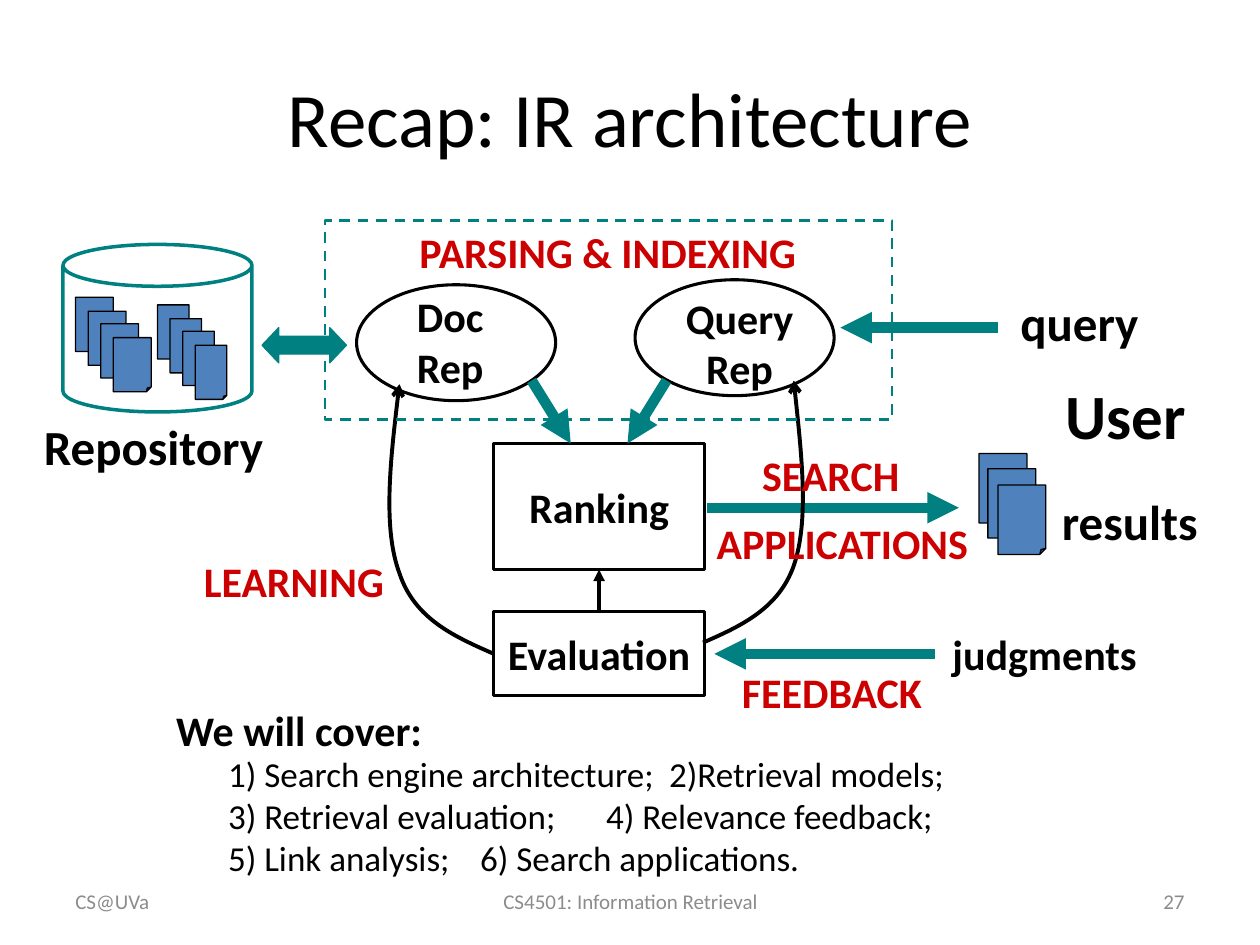
import lxml.etree
import pptx
import pptx.dml.color
import pptx.enum.dml
import pptx.enum.shapes
import pptx.enum.text
import pptx.oxml.ns
import pptx.util

PX = 9144  # 100 px to the inch
COLORS = {"black": "000000", "teal": "008080", "red": "CC0000",
          "blue": "4F81BD", "gray": "8C8C8C"}
SHAPE = pptx.enum.shapes.MSO_SHAPE
ALIGN = pptx.enum.text.PP_ALIGN
MIDDLE = pptx.enum.text.MSO_ANCHOR.MIDDLE
qn = pptx.oxml.ns.qn

deck = pptx.Presentation()
deck.slide_width, deck.slide_height = 1000 * PX, 750 * PX
page = deck.slides.add_slide(deck.slide_layouts[1])


def write(frame, text, size, color="black", bold=True, align=ALIGN.LEFT):
    frame.text = text
    for para in frame.paragraphs:
        para.alignment = align
        para.font.name = "Calibri"
        para.font.size = pptx.util.Pt(size)
        para.font.bold = bold
        para.font.color.rgb = pptx.dml.color.RGBColor.from_string(COLORS[color])


def draw(kind, box, line="black", width=1.75, fill=None, adjust=None):
    """Add a preset shape; adjust maps guide names to thousandths of a percent."""
    shape = page.shapes.add_shape(kind, *(n * PX for n in box))
    shape.shadow.inherit = False
    if fill:
        shape.fill.solid()
        shape.fill.fore_color.rgb = pptx.dml.color.RGBColor.from_string(COLORS[fill])
    else:
        shape.fill.background()
    shape.line.color.rgb = pptx.dml.color.RGBColor.from_string(COLORS[line])
    shape.line.width = pptx.util.Pt(width)
    if adjust:
        guides = next(shape.element.iter(qn("a:avLst")))
        guides[:] = []
        for name, value in adjust.items():
            lxml.etree.SubElement(guides, qn("a:gd"), name=name, fmla=f"val {value}")
    return shape


title = page.shapes.title
title.left, title.top, title.width, title.height = (n * PX for n in (50, 30, 900, 125))
write(title.text_frame, "Recap: IR architecture", 44, bold=False, align=ALIGN.CENTER)

# Repository, document stacks and the representations
draw(SHAPE.CAN, (50, 194, 150, 133), "teal", 2)
stacks = [(60, 236, 30, 43, 10, 10.7, 4), (125, 242, 25, 43, 10, 10.7, 4),
          (777, 360, 38, 55, 7.5, 12.5, 3)]
for left, top, width, height, step_x, step_y, count in stacks:
    for i in range(count):
        sheet = (round(left + i * step_x), round(top + i * step_y), width, height)
        draw(SHAPE.FOLDED_CORNER, sheet, width=0.75, fill="blue", adjust={"adj": 12500})
draw(SHAPE.LEFT_RIGHT_ARROW, (208, 260, 67, 28), "teal", 0.75, "teal",
     {"adj1": 50000, "adj2": 47400})
for ellipse in [(283, 226, 158, 92), (504, 222, 158, 92)]:
    draw(SHAPE.OVAL, ellipse)

# Ranking and evaluation
stages = {}
for name, box in [("Ranking", (392, 352, 167, 100)), ("Evaluation", (392, 485, 167, 67))]:
    stages[name] = draw(SHAPE.RECTANGLE, box)
    frame = stages[name].text_frame
    write(frame, name, 24, align=ALIGN.CENTER)
    frame.word_wrap = False
    frame.vertical_anchor = MIDDLE

# Straight arrows: from, to, colour, width
straight = [((561, 403), (761, 403), "teal", 6), ((792, 260), (667, 260), "teal", 6),
            ((529, 302), (498, 352), "teal", 6), ((422, 302), (453, 352), "teal", 6),
            ((742, 519), (567, 519), "teal", 6), ((475, 485), (475, 452), "black", 2.25)]
arrows = []
for start, end, color, width in straight:
    arrow = page.shapes.add_connector(pptx.enum.shapes.MSO_CONNECTOR.STRAIGHT,
                                      *(n * PX for n in start + end))
    arrow.line.color.rgb = pptx.dml.color.RGBColor.from_string(COLORS[color])
    arrow.line.width = pptx.util.Pt(width)
    lxml.etree.SubElement(arrow.element.spPr, qn("a:effectLst"))
    arrows.append((arrow, "triangle"))
arrow.begin_connect(stages["Evaluation"], 0)
arrow.end_connect(stages["Ranking"], 2)

# Learning curves: a start, then two cubic segments of three points each
curves = [[(392, 519), (360, 505), (329, 491), (317, 455), (304, 420), (310, 362), (317, 305)],
          [(558, 510), (588, 497), (618, 483), (630, 449), (642, 414), (636, 358), (630, 302)]]
for start, *points in curves:
    builder = page.shapes.build_freeform(*start, scale=PX)
    builder.add_line_segments(points, close=False)
    curve = builder.convert_to_shape()
    outline = next(curve.element.iter(qn("a:path")))
    segments = outline.findall(qn("a:lnTo"))
    for i in range(0, len(segments), 3):
        cubic = lxml.etree.SubElement(outline, qn("a:cubicBezTo"))
        for segment in segments[i:i + 3]:
            cubic.append(segment[0])
            outline.remove(segment)
    curve.shadow.inherit = False
    curve.fill.background()
    curve.line.color.rgb = pptx.dml.color.RGBColor.from_string(COLORS["black"])
    curve.line.width = pptx.util.Pt(2.25)
    arrows.append((curve, "arrow"))

for arrow, head in arrows:
    line = arrow.element.spPr.find(qn("a:ln"))
    lxml.etree.SubElement(line, qn("a:tailEnd"), type=head)

indexing = draw(SHAPE.RECTANGLE, (258, 175, 450, 158), "teal", 1.5)
indexing.line.dash_style = pptx.enum.dml.MSO_LINE.DASH

# Labels: text, box, size, colour, alignment
labels = [("User", (836, 294, 156, 70), 36, "black", ALIGN.LEFT),
          ("query", (800, 227, 122, 57), 28, "black", ALIGN.LEFT),
          ("Repository", (25, 326, 203, 57), 28, "black", ALIGN.LEFT),
          ("results", (833, 385, 130, 57), 28, "black", ALIGN.LEFT),
          ("Query\nRep", (534, 227, 106, 91), 24, "black", ALIGN.CENTER),
          ("Doc\nRep", (321, 226, 74, 91), 24, "black", ALIGN.LEFT),
          ("judgments", (746, 494, 170, 50), 24, "black", ALIGN.LEFT),
          ("PARSING & INDEXING", (323, 175, 326, 50), 24, "red", ALIGN.LEFT),
          ("SEARCH", (595, 352, 130, 50), 24, "red", ALIGN.LEFT),
          ("LEARNING", (152, 436, 164, 50), 24, "red", ALIGN.LEFT),
          ("APPLICATIONS", (559, 406, 224, 50), 24, "red", ALIGN.LEFT),
          ("FEEDBACK", (579, 524, 165, 50), 24, "red", ALIGN.LEFT),
          ("We will cover:", (130, 554, 346, 50), 24, "black", ALIGN.LEFT),
          ("CS@UVa", (50, 695, 233, 40), 12, "gray", ALIGN.LEFT),
          ("CS4501: Information Retrieval", (342, 695, 317, 40), 12, "gray", ALIGN.CENTER),
          ("27", (717, 695, 233, 40), 12, "gray", ALIGN.RIGHT)]
for text, box, size, color, align in labels:
    frame = page.shapes.add_textbox(*(n * PX for n in box)).text_frame
    is_footer = color == "gray"
    write(frame, text, size, color, not is_footer, align)
    frame.word_wrap = is_footer or text in ("User", "query", "We will cover:")
    if is_footer:
        frame.vertical_anchor = MIDDLE

# Topics, two to a line with a tab stop between them
topics = [("1) Search engine architecture;\t2)Retrieval models;", 356),
          ("3) Retrieval evaluation;\t4) Relevance feedback;", 278),
          ("5) Link analysis;\t6) Search applications.", 194)]
body = page.placeholders[1]
body.left, body.top, body.width, body.height = (n * PX for n in (171, 592, 667, 111))
frame = body.text_frame
write(frame, "\n".join(text for text, stop in topics), 20, bold=False)
frame.auto_size = pptx.enum.text.MSO_AUTO_SIZE.NONE
for para, (text, stop) in zip(frame.paragraphs, topics):
    settings = para._p.get_or_add_pPr()
    settings.set("marL", "0")
    settings.set("indent", "0")
    tabs = lxml.etree.Element(qn("a:tabLst"))
    lxml.etree.SubElement(tabs, qn("a:tab"), pos=str(stop * PX), algn="l")
    settings.insert(0, tabs)
    settings.insert(0, lxml.etree.Element(qn("a:buNone")))
    para.space_before = pptx.util.Pt(0)

deck.save("out.pptx")
